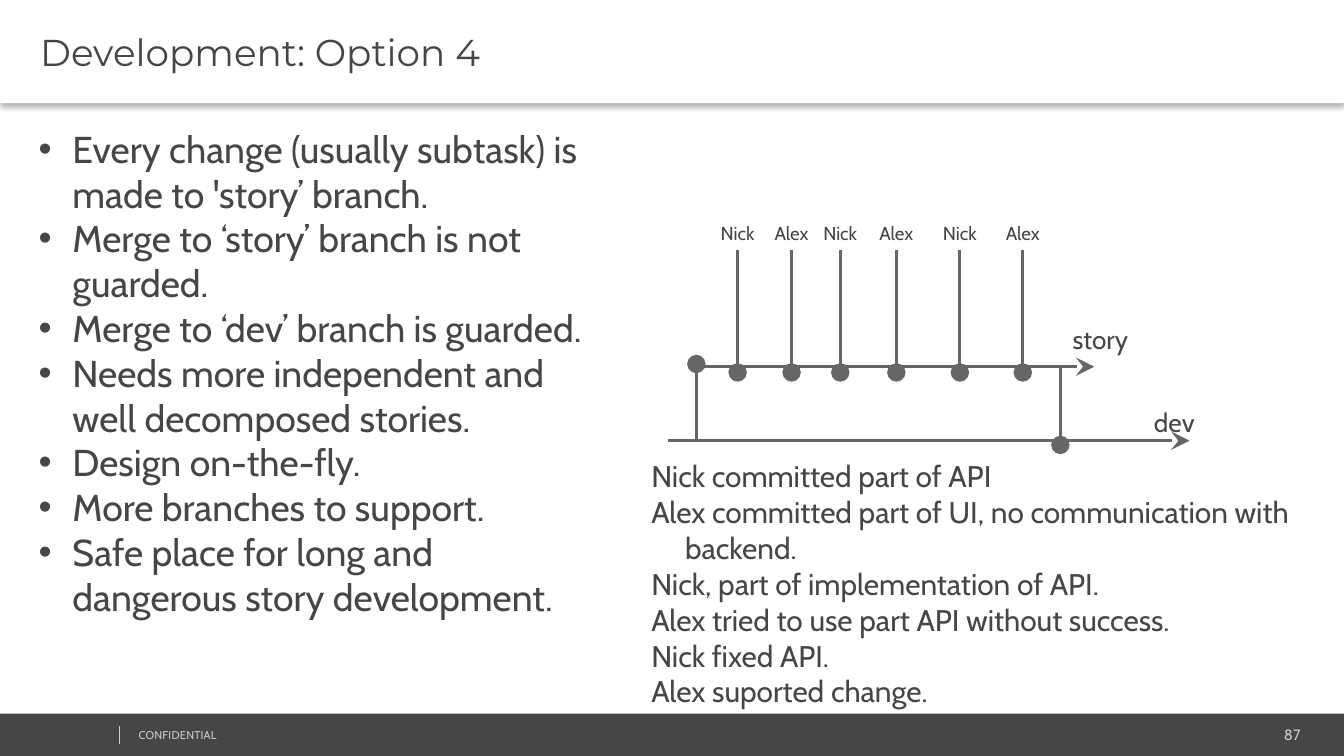
import pptx
import pptx.dml.color
import pptx.enum.shapes
import pptx.enum.text
import pptx.oxml
import pptx.oxml.ns
import pptx.util
from dataclasses import dataclass
from lxml import etree

Cm = pptx.util.Cm
Pt = pptx.util.Pt
Align = pptx.enum.text.PP_ALIGN
Anchor = pptx.enum.text.MSO_ANCHOR
qn = pptx.oxml.ns.qn


@dataclass(frozen=True)
class Theme:
    ink: str = "464547"
    line: str = "666666"
    pale: str = "CCCCCC"
    white: str = "FFFFFF"
    heading_font: str = "Montserrat"
    body_font: str = "Cabin"
    heading: int = 20
    bullets: int = 20
    notes: int = 16
    branch: int = 14
    commit: int = 10
    page_number: int = 8
    footer: int = 6


THEME = Theme()


def color(code):
    return pptx.dml.color.RGBColor.from_string(code)


class SlideBuilder:
    def __init__(self, page, theme):
        self.page = page
        self.theme = theme

    def bar(self, left, top, width, height, fill):
        shape = self.page.shapes.add_shape(
            pptx.enum.shapes.MSO_SHAPE.RECTANGLE,
            Cm(left), Cm(top), Cm(width), Cm(height))
        shape.shadow.inherit = False
        shape.fill.solid()
        shape.fill.fore_color.rgb = color(fill)
        shape.line.fill.background()
        return shape

    def drop_shadow(self, shape):
        effects = shape._element.spPr.find(qn("a:effectLst"))
        shadow = etree.SubElement(
            effects, qn("a:outerShdw"), blurRad=str(Pt(3.1)),
            dist=str(Pt(2)), dir="5400000", algn="t", rotWithShape="0")
        tint = etree.SubElement(shadow, qn("a:srgbClr"), val="000000")
        etree.SubElement(tint, qn("a:alpha"), val="30000")

    def fill_text(self, shape, lines, size, ink=None, font=None,
                  align=Align.LEFT, anchor=Anchor.TOP, insets=(0.25, 0.25),
                  hanging=False, bullet=None, spacing=None):
        frame = shape.text_frame
        frame.word_wrap = True
        frame.vertical_anchor = anchor
        frame.margin_left = Cm(insets[0])
        frame.margin_right = Cm(min(insets[0], 0.25))
        frame.margin_top = frame.margin_bottom = Cm(insets[1])
        for index, line in enumerate(lines):
            para = frame.paragraphs[0] if index == 0 else frame.add_paragraph()
            span = para.add_run()
            span.text = line
            para.alignment = align
            if hanging:
                props = para._p.get_or_add_pPr()
                props.set("marL", str(Cm(1.27)))
                props.set("indent", str(-Cm(0.64)))
                if bullet:
                    etree.SubElement(props, qn("a:buFont"), typeface="Arial")
                    etree.SubElement(props, qn("a:buChar"), char=bullet)
                else:
                    etree.SubElement(props, qn("a:buNone"))
            para.font.size = Pt(size)
            para.font.name = font or self.theme.body_font
            para.font.color.rgb = color(ink or self.theme.ink)
            if spacing:
                span._r.get_or_add_rPr().set("spc", str(spacing))

    def text(self, left, top, width, height, lines, size, **style):
        box = self.page.shapes.add_textbox(
            Cm(left), Cm(top), Cm(width), Cm(height))
        self.fill_text(box, lines, size, **style)

    def line(self, x1, y1, x2, y2, ink=None, width=1.5, head=None, tail=None):
        connector = self.page.shapes.add_connector(
            pptx.enum.shapes.MSO_CONNECTOR.STRAIGHT,
            Cm(x1), Cm(y1), Cm(x2), Cm(y2))
        connector.line.color.rgb = color(ink or self.theme.line)
        connector.line.width = Pt(width)
        outline = connector.line._get_or_add_ln()
        for tag, kind in (("a:headEnd", head), ("a:tailEnd", tail)):
            if kind:
                etree.SubElement(outline, qn(tag), type=kind, w="lg", len="lg")
        etree.SubElement(connector._element.spPr, qn("a:effectLst"))


def main():
    deck = pptx.Presentation()
    deck.slide_width, deck.slide_height = Cm(25.4), Cm(14.29)
    page = deck.slides.add_slide(deck.slide_layouts[6])
    builder = SlideBuilder(page, THEME)

    # Footer
    builder.bar(0, 13.49, 25.42, 0.84, THEME.ink)
    builder.text(20.62, 13.61, 4.14, 0.53, ["87"], THEME.page_number,
                 ink=THEME.pale, align=Align.RIGHT, insets=(0.18, 0.1))
    builder.text(2.44, 13.67, 6.43, 0.46, ["CONFIDENTIAL"], THEME.footer,
                 ink=THEME.pale, insets=(0.18, 0.1), spacing=10)
    builder.line(2.26, 13.72, 2.26, 14.07, ink=THEME.pale, width=0.25)

    # Title bar
    title = builder.bar(0, 0, 25.4, 1.95, THEME.white)
    builder.drop_shadow(title)
    builder.fill_text(title, ["Development: Option 4"], THEME.heading,
                      font=THEME.heading_font, anchor=Anchor.MIDDLE,
                      insets=(0.76, 0.1))

    # Properties of this option
    builder.text(-0.15, 2.13, 11.58, 10.24, [
        "Every change (usually subtask) is made to 'story’ branch.",
        "Merge to ‘story’ branch is not guarded.",
        "Merge to ‘dev’ branch is guarded.",
        "Needs more independent and well decomposed stories.",
        "Design on-the-fly.",
        "More branches to support.",
        "Safe place for long and dangerous story development.",
    ], THEME.bullets, hanging=True, bullet="•")

    # Branches, with the fork from dev and the merge back
    story_y, dev_y = 6.93, 8.33
    builder.line(13.18, story_y, 20.68, story_y, tail="stealth")
    builder.line(12.62, dev_y, 22.48, dev_y, tail="stealth")
    builder.line(13.16, 6.88, 13.16, dev_y, head="oval")
    builder.line(20.04, 6.96, 20.04, 8.41, tail="oval")
    for name, left, top in (("story", 20.02, 5.87), ("dev", 21.56, 7.44)):
        builder.text(left, top, 1.98, 0.69, [name], THEME.branch)

    # Commits to the story branch, by turns
    commit_places = (13.94, 14.96, 15.88, 16.94, 18.14, 19.33)
    for index, x in enumerate(commit_places):
        author = ("Nick", "Alex")[index % 2]
        builder.text(x - 0.69, 4.17, 1.38, 0.48, [author], THEME.commit,
                     align=Align.CENTER, anchor=Anchor.MIDDLE)
        builder.line(x, 4.72, x, 7.04, tail="oval")

    # What each commit did
    builder.text(11.43, 8.41, 13.69, 4.98, [
        "Nick committed part of API",
        "Alex committed part of UI, no communication with backend.",
        "Nick, part of implementation of API.",
        "Alex tried to use part API without success.",
        "Nick fixed API.",
        "Alex suported change.",
    ], THEME.notes, hanging=True)

    deck.save("out.pptx")


if __name__ == "__main__":
    main()
